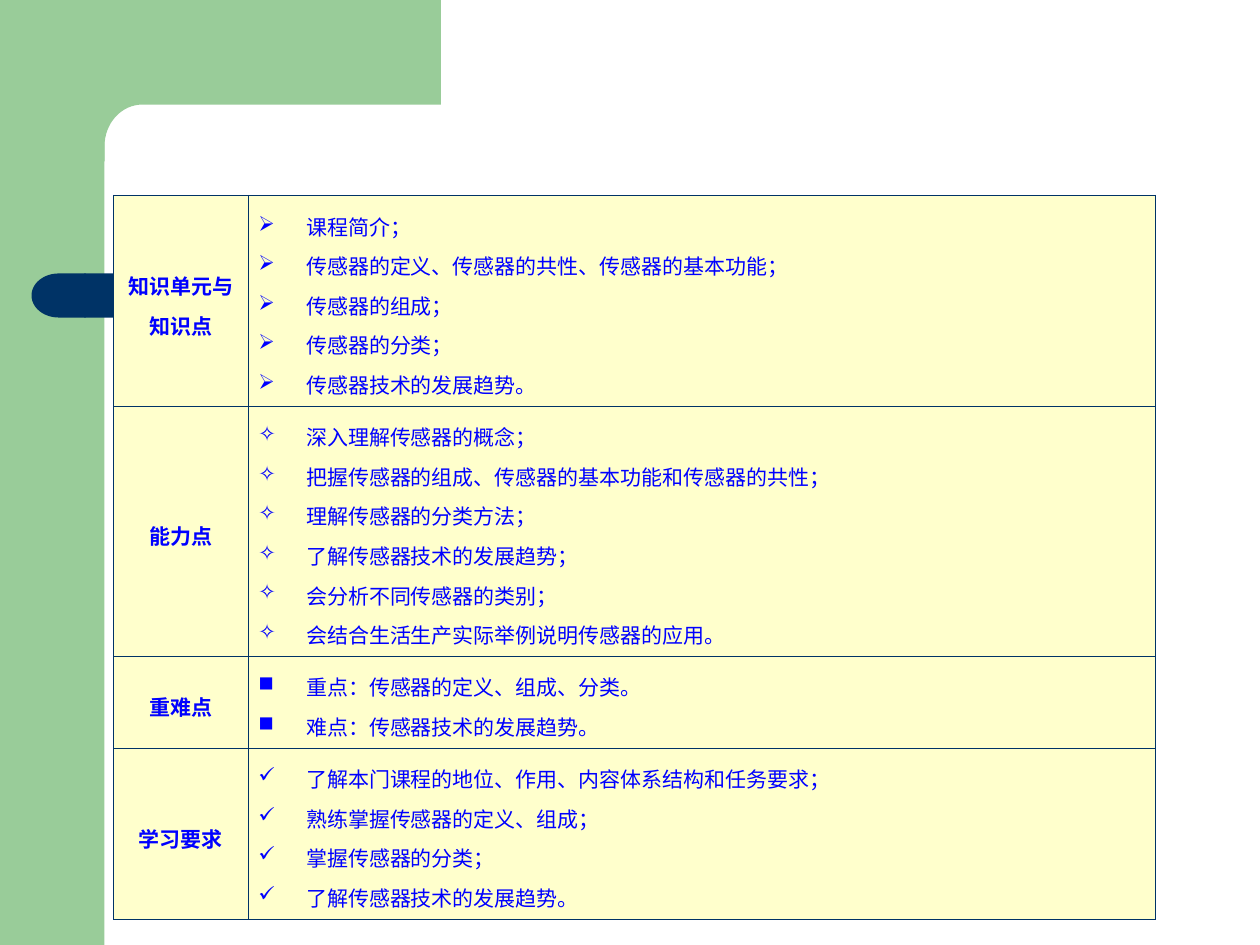
from dataclasses import dataclass
from math import cos, pi, sin

from lxml import etree
from pptx import Presentation
from pptx import util as u
from pptx.dml.color import RGBColor
from pptx.enum import shapes, text
from pptx.oxml import ns


@dataclass(frozen=True)
class Theme:
    """Colours, font and sizes of the slide."""
    green: str = "99CC99"
    navy: str = "003366"
    cream: str = "FFFFCC"
    blue: str = "0000FF"
    font: str = "Noto Sans CJK SC"
    size: float = 12
    line_spacing: float = 1.3
    border: float = 0.45


THEME = Theme()
COLUMN_WIDTHS = (1.07, 7.2)
ROW_HEIGHTS = (1.57, 1.89, 0.63, 1.26)
ROWS = (
    ("知识单元与知识点", "➢", (
        "课程简介；",
        "传感器的定义、传感器的共性、传感器的基本功能；",
        "传感器的组成；",
        "传感器的分类；",
        "传感器技术的发展趋势。",
    )),
    ("能力点", "✧", (
        "深入理解传感器的概念；",
        "把握传感器的组成、传感器的基本功能和传感器的共性；",
        "理解传感器的分类方法；",
        "了解传感器技术的发展趋势；",
        "会分析不同传感器的类别；",
        "会结合生活生产实际举例说明传感器的应用。",
    )),
    ("重难点", "■", (
        "重点：传感器的定义、组成、分类。",
        "难点：传感器技术的发展趋势。",
    )),
    ("学习要求", "✓", (
        "了解本门课程的地位、作用、内容体系结构和任务要求；",
        "熟练掌握传感器的定义、组成；",
        "掌握传感器的分类；",
        "了解传感器技术的发展趋势。",
    )),
)


def add_element(parent, tag, **attributes):
    """Append a drawing element to a parent and return it."""
    return etree.SubElement(parent, ns.qn(tag), attributes)


def paint(shape, color):
    """Give a shape a plain fill without line or shadow."""
    shape.shadow.inherit = False
    shape.fill.solid()
    shape.fill.fore_color.rgb = RGBColor.from_string(color)
    shape.line.fill.background()


def add_block(slide, kind, box, color):
    """Add a plain preset shape in the given box."""
    shape = slide.shapes.add_shape(kind, *map(u.Inches, box))
    paint(shape, color)
    return shape


def add_corner(slide, box, inner_left, inner_top, radii):
    """Add the top band whose inner corner is rounded."""
    left, top, width, height = box
    radius_x, radius_y = radii
    steps = 16
    angles = [pi / 2 * step / steps for step in range(steps + 1)]
    arc = [(inner_left + radius_x * (1 - sin(angle)),
            inner_top + radius_y * (1 - cos(angle))) for angle in angles]
    points = [(left + width, top), (left + width, inner_top), *arc,
              (inner_left, top + height), (left, top + height), (left, top)]
    points = [(u.Inches(x), u.Inches(y)) for x, y in points]
    builder = slide.shapes.build_freeform(*points[0])
    builder.add_line_segments(points[1:], close=True)
    paint(builder.convert_to_shape(), THEME.green)


def add_frame(slide, box):
    """Draw the green frame along the left and top of the box."""
    left, top, _, height = box
    add_block(slide, shapes.MSO_SHAPE.RECTANGLE, (left, top, 0.83, height), THEME.green)
    add_corner(slide, (left + 0.5, top, 3, 1.28), left + 0.83, top + 0.83, (0.3, 0.33))


def add_bar(slide, box):
    """Draw the navy bar with its rounded left end."""
    left, top, width, height = box
    cap_width = 0.43
    bar_box = (left + cap_width - 0.01, top, width - cap_width + 0.01, height)
    bar = add_block(slide, shapes.MSO_SHAPE.ROUNDED_RECTANGLE, bar_box, THEME.navy)
    bar.adjustments[0] = 0
    cap = add_block(slide, shapes.MSO_SHAPE.FLOWCHART_DELAY,
                    (left, top, cap_width, height), THEME.navy)
    cap.rotation = 180


def write_paragraph(paragraph, content, bold=False, bullet=None, align=None):
    """Write one paragraph with its format and optional bullet."""
    paragraph.line_spacing = THEME.line_spacing
    paragraph.alignment = align
    if bullet:
        properties = paragraph._p.get_or_add_pPr()
        properties.set("marL", str(u.Inches(0.38)))
        properties.set("indent", str(u.Inches(-0.38)))
        color = add_element(properties, "a:buClr")
        add_element(color, "a:srgbClr", val=THEME.blue)
        add_element(properties, "a:buChar", char=bullet)
    run = paragraph.add_run()
    run.text = content
    run.font.size = u.Pt(THEME.size)
    run.font.bold = bold
    run.font.color.rgb = RGBColor.from_string(THEME.blue)
    run.font.name = THEME.font
    add_element(run._r.get_or_add_rPr(), "a:ea", typeface=THEME.font)


def fill_cell(cell, lines, **style):
    """Format a table cell and write its lines."""
    cell.fill.solid()
    cell.fill.fore_color.rgb = RGBColor.from_string(THEME.cream)
    cell.vertical_anchor = text.MSO_ANCHOR.MIDDLE
    cell.margin_left = cell.margin_right = u.Inches(0.08)
    cell.margin_top = cell.margin_bottom = u.Inches(0.05)
    properties = cell._tc.get_or_add_tcPr()
    for index, side in enumerate(("a:lnL", "a:lnR", "a:lnT", "a:lnB")):
        line = add_element(properties, side, w=str(u.Pt(THEME.border)))
        add_element(add_element(line, "a:solidFill"), "a:srgbClr", val=THEME.navy)
        properties.insert(index, line)
    frame = cell.text_frame
    for index, content in enumerate(lines):
        paragraph = frame.add_paragraph() if index else frame.paragraphs[0]
        write_paragraph(paragraph, content, **style)


def add_outline_table(slide, box):
    """Add the table of topics, skills, key points and requirements."""
    table = slide.shapes.add_table(len(ROWS), len(COLUMN_WIDTHS), *map(u.Inches, box)).table
    table.first_row = table.horz_banding = False
    for column, width in zip(table.columns, COLUMN_WIDTHS):
        column.width = u.Inches(width)
    for row, height, (heading, bullet, items) in zip(table.rows, ROW_HEIGHTS, ROWS):
        row.height = u.Inches(height)
        heading_cell, items_cell = row.cells
        fill_cell(heading_cell, [heading], bold=True, align=text.PP_ALIGN.CENTER)
        fill_cell(items_cell, items, bullet=bullet)


def main():
    """Build and save the presentation."""
    presentation = Presentation()
    presentation.slide_width = u.Inches(10)
    presentation.slide_height = u.Inches(7.5)
    slide = presentation.slides.add_slide(presentation.slide_layouts[6])
    add_frame(slide, (0, 0, 10, 7.5))
    add_bar(slide, (0.25, 2.17, 8.09, 0.35))
    add_outline_table(slide, (0.9, 1.55, sum(COLUMN_WIDTHS), sum(ROW_HEIGHTS)))
    presentation.save("out.pptx")


if __name__ == "__main__":
    main()
